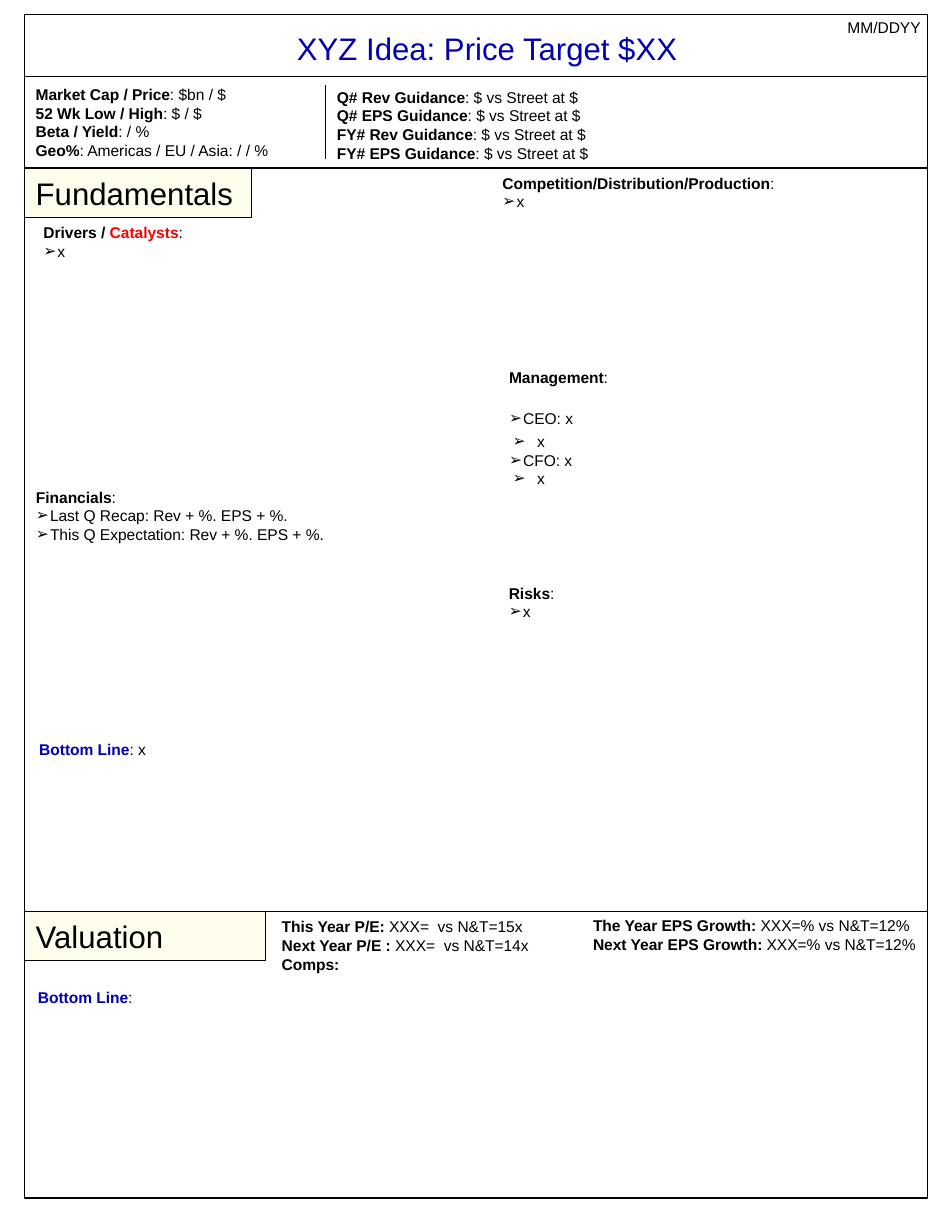
from dataclasses import dataclass
from lxml.etree import SubElement
from pptx import Presentation
from pptx.dml.color import RGBColor
from pptx.enum.shapes import MSO_CONNECTOR, MSO_SHAPE
from pptx.enum.text import MSO_ANCHOR, MSO_AUTO_SIZE, PP_ALIGN
from pptx.oxml.ns import qn
from pptx.util import Cm, Pt


@dataclass(frozen=True)
class Theme:
    font: str = "Arial"
    ink: RGBColor = RGBColor(0, 0, 0)
    blue: RGBColor = RGBColor(0x01, 0x00, 0xB1)
    red: RGBColor = RGBColor(0xFF, 0, 0)
    cream: RGBColor = RGBColor(0xFF, 0xFD, 0xEB)
    head: Pt = Pt(20)
    body: Pt = Pt(10)
    line: Pt = Pt(0.75)


THEME = Theme()
# Left margin and hanging indent of each list level, in cm
INDENTS = {0: (0, 0), 1: (0.32, -0.32), 2: (0.64, -0.56)}


# Text: a line is (level, run, run, ...), a run is (text, bold, colour)
def bold(text, color=THEME.ink):
    return text, True, color


def plain(text, color=THEME.ink):
    return text, False, color


def pair(label, rest=":", color=THEME.ink):
    return 0, bold(label, color), plain(rest)


def item(text, level=1):
    return level, plain(text)


def indent(para, level):
    props = para._p.get_or_add_pPr()
    left, hang = INDENTS[level]
    props.set("marL", str(Cm(left)))
    props.set("indent", str(Cm(hang)))
    if level:
        color = SubElement(props, qn("a:buClr"))
        SubElement(color, qn("a:srgbClr"), val=str(THEME.ink))
        SubElement(props, qn("a:buFont"), typeface=THEME.font)
        SubElement(props, qn("a:buChar"), char="➢")
    else:
        SubElement(props, qn("a:buNone"))


def write(shape, lines, size=THEME.body, align=PP_ALIGN.LEFT):
    frame = shape.text_frame
    frame.word_wrap = True
    frame.auto_size = MSO_AUTO_SIZE.NONE
    frame.vertical_anchor = MSO_ANCHOR.TOP
    for i, (level, *runs) in enumerate(lines):
        para = frame.add_paragraph() if i else frame.paragraphs[0]
        para.level = level
        para.alignment = align
        para.line_spacing = 1.0
        para.space_before = para.space_after = Pt(0)
        indent(para, level)
        para.font.name, para.font.size = THEME.font, size
        for text, strong, color in runs:
            run = para.add_run()
            run.text = text
            run.font.name, run.font.size = THEME.font, size
            run.font.bold = strong
            run.font.color.rgb = color
    return frame


# Parts: each spot is (x, y, w, h) in cm, relative to its region's box
def put(box, spot):
    x, y, w, h = spot
    return Cm(box[0] + x), Cm(box[1] + y), Cm(w), Cm(h)


def note(slide, box, spot, lines, align=PP_ALIGN.LEFT):
    return write(slide.shapes.add_textbox(*put(box, spot)), lines, align=align)


def fill(holder, box, spot, lines, size=THEME.body):
    holder.left, holder.top, holder.width, holder.height = put(box, spot)
    return write(holder, lines, size)


def panel(slide, box, spot, color=None):
    shape = slide.shapes.add_shape(MSO_SHAPE.RECTANGLE, *put(box, spot))
    shape.shadow.inherit = False
    if color is None:
        shape.fill.background()
    else:
        shape.fill.solid()
        shape.fill.fore_color.rgb = color
    shape.line.color.rgb = THEME.ink
    shape.line.width = THEME.line
    return shape


def tag(slide, box, spot, text):
    write(panel(slide, box, spot, THEME.cream), [(0, plain(text))], THEME.head)


def rule(slide, box, x1, y1, x2, y2):
    left, top = box[:2]
    line = slide.shapes.add_connector(
        MSO_CONNECTOR.STRAIGHT, Cm(left + x1), Cm(top + y1), Cm(left + x2), Cm(top + y2))
    line.line.color.rgb = THEME.ink
    line.line.width = THEME.line
    SubElement(line._element.spPr, qn("a:effectLst"))


# Regions
def header(slide, box):
    fill(slide.shapes.title, box, (5.92, 0.2, 11.73, 1.12),
         [(0, plain("XYZ Idea: Price Target $XX", THEME.blue))], THEME.head)
    note(slide, box, (12.44, -0.05, 8.13, 0.69), [(0, plain("MM/DDYY"))], PP_ALIGN.RIGHT)


def facts(slide, box):
    rule(slide, box, 0, 0, box[2], 0)
    note(slide, box, (0, 0.07, 6.8, 1.96), [
        pair("Market Cap / Price", ": $bn / $"),
        pair("52 Wk Low / High", ": $ / $"),
        pair("Beta / Yield", ": / %"),
        pair("Geo%", ": Americas / EU / Asia: / / %")])
    rule(slide, box, 6.82, 0.2, 6.82, 1.88)
    note(slide, box, (6.83, 0.13, 13.36, 1.96), [
        pair(f"{term} {kind} Guidance", ": $ vs Street at $")
        for term in ("Q#", "FY#") for kind in ("Rev", "EPS")])


def basics(slide, box):
    rule(slide, box, 0, 0, box[2], 0)
    tag(slide, box, (0, 0.01, 5.15, 1.12), "Fundamentals")
    holders = slide.placeholders
    fill(holders[1], box, (0.17, 1.13, 10.16, 3.23), [
        (0, bold("Drivers / "), bold("Catalysts", THEME.red), plain(":")), item("x")])
    fill(holders[2], box, (0, 7.12, 10.36, 1.96), [
        pair("Financials"),
        item("Last Q Recap: Rev + %. EPS + %."),
        item("This Q Expectation: Rev + %. EPS + %.")])
    fill(holders[3], box, (10.58, 0, 9.73, 1.12), [
        pair("Competition/Distribution/Production"), item("x")])
    team = fill(holders[4], box, (10.73, 4.41, 9.68, 2.97), [
        pair("Management"),
        item("CEO: x"), item("x", 2),
        item("CFO: x"), item("x", 2)])
    team.paragraphs[1].space_before = Pt(14)
    team.paragraphs[1].space_after = Pt(3)
    note(slide, box, (10.73, 9.3, 10.3, 1.96), [pair("Risks"), item("x")])
    note(slide, box, (0.08, 12.85, 20.2, 0.69), [pair("Bottom Line", ": x", THEME.blue)])


def value(slide, box):
    rule(slide, box, 0, 0, box[2], 0)
    tag(slide, box, (0, 0, 5.46, 1.11), "Valuation")
    note(slide, box, (5.58, 0, 7, 1.52), [
        pair("This Year P/E: ", "XXX=  vs N&T=15x"),
        pair("Next Year P/E : ", "XXX=  vs N&T=14x"),
        (0, bold("Comps:"))])
    note(slide, box, (12.64, -0.03, 8.3, 1.96), [
        pair(f"{year} Year EPS Growth: ", "XXX=% vs N&T=12%") for year in ("The", "Next")])
    note(slide, box, (0.05, 1.6, 20.17, 0.69), [pair("Bottom Line", color=THEME.blue)])


def main():
    deck = Presentation()
    deck.slide_width, deck.slide_height = Cm(21.59), Cm(27.94)
    slide = deck.slides.add_slide(deck.slide_layouts.get_by_name("Comparison"))
    left, top, wide, tall = page = (0.56, 0.33, 20.47, 26.84)
    panel(slide, page, (0, 0, wide, tall))

    # Regions stacked down the page
    for draw, high in ((header, 1.4), (facts, 2.08), (basics, 16.87), (value, 6.49)):
        draw(slide, (left, top, wide, high))
        top += high
    deck.save("out.pptx")


if __name__ == "__main__":
    main()
